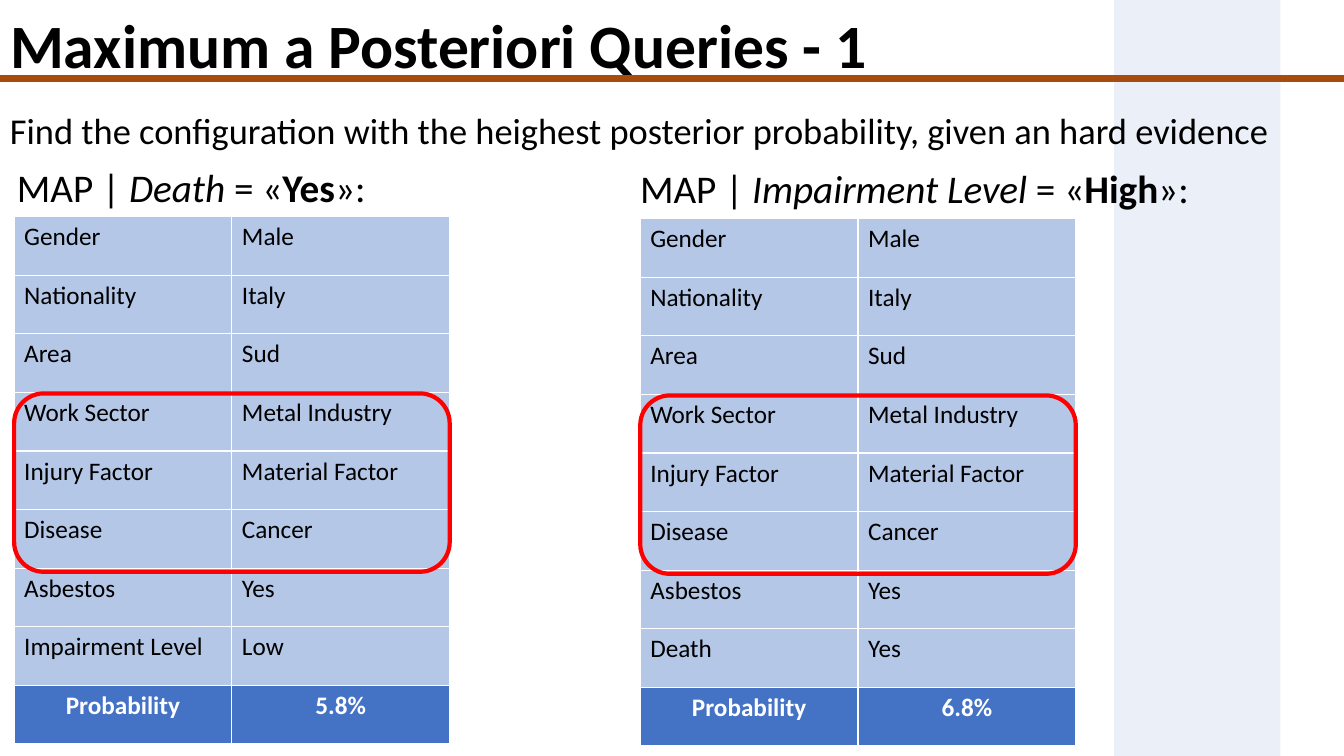
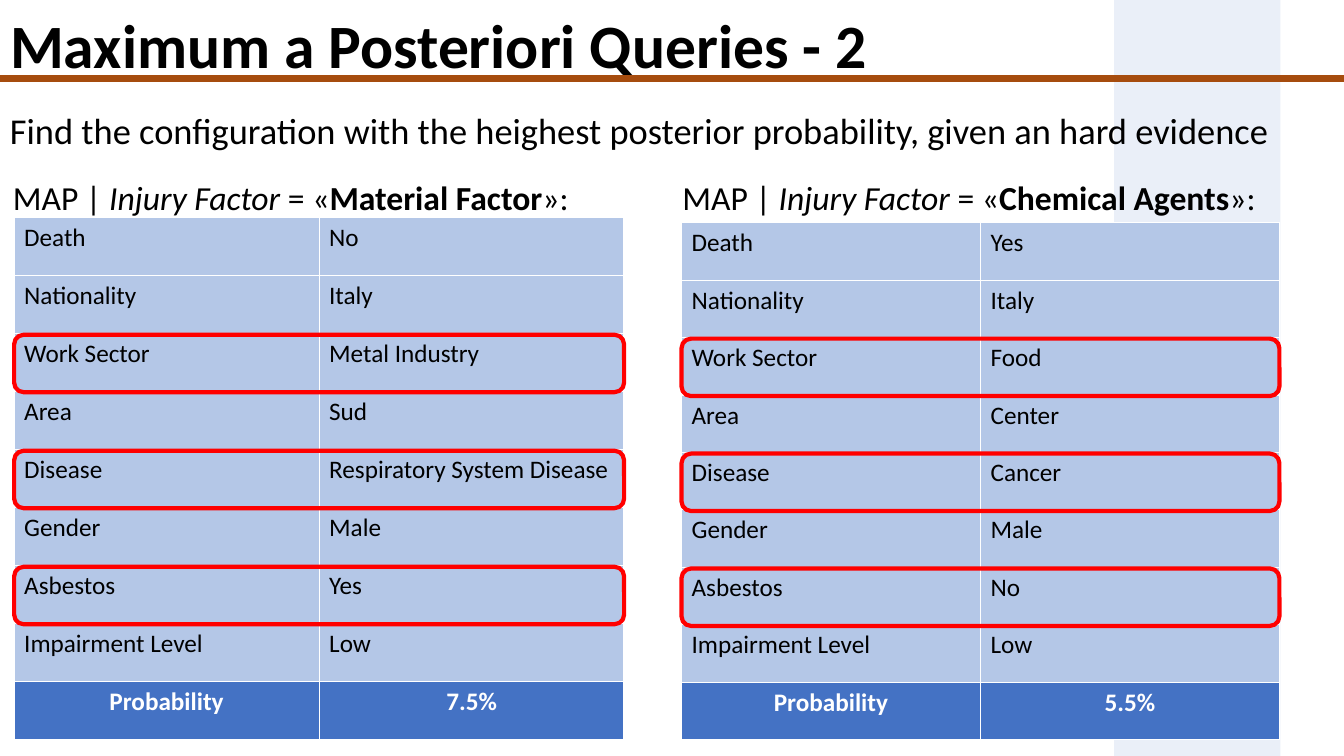
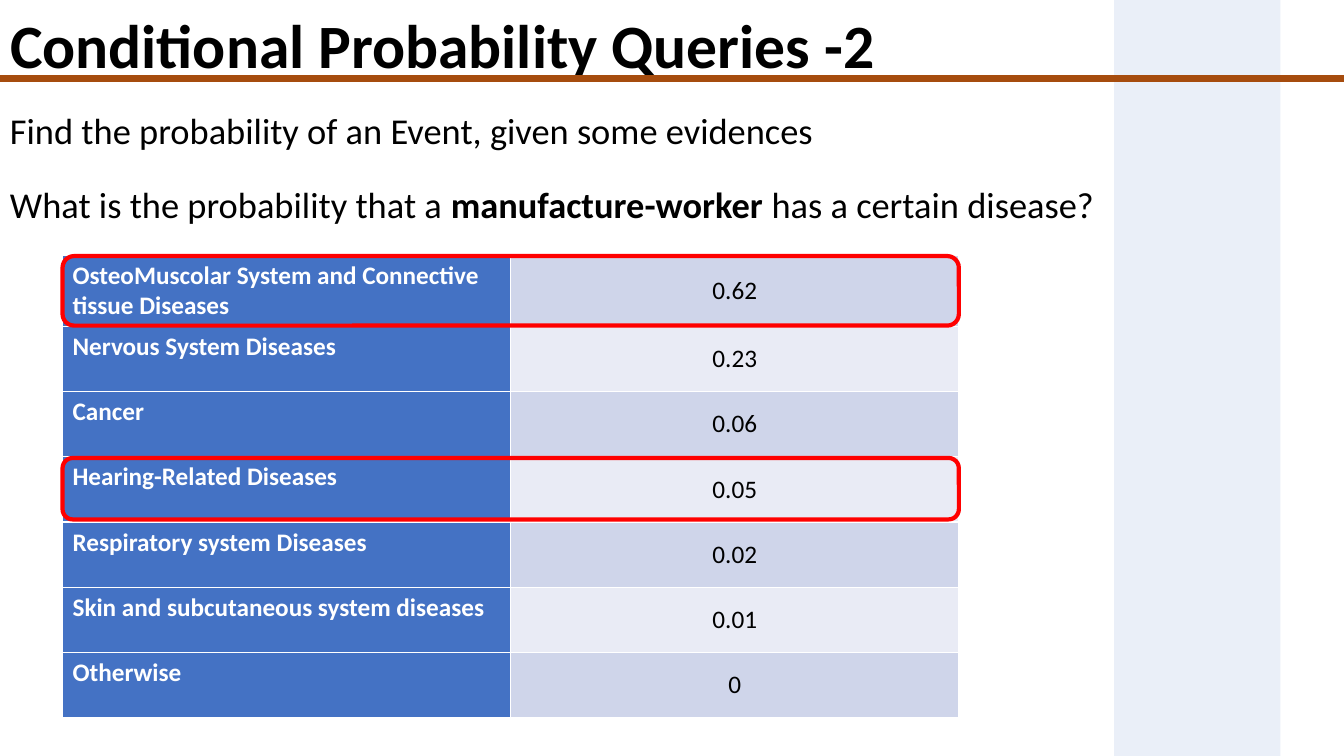
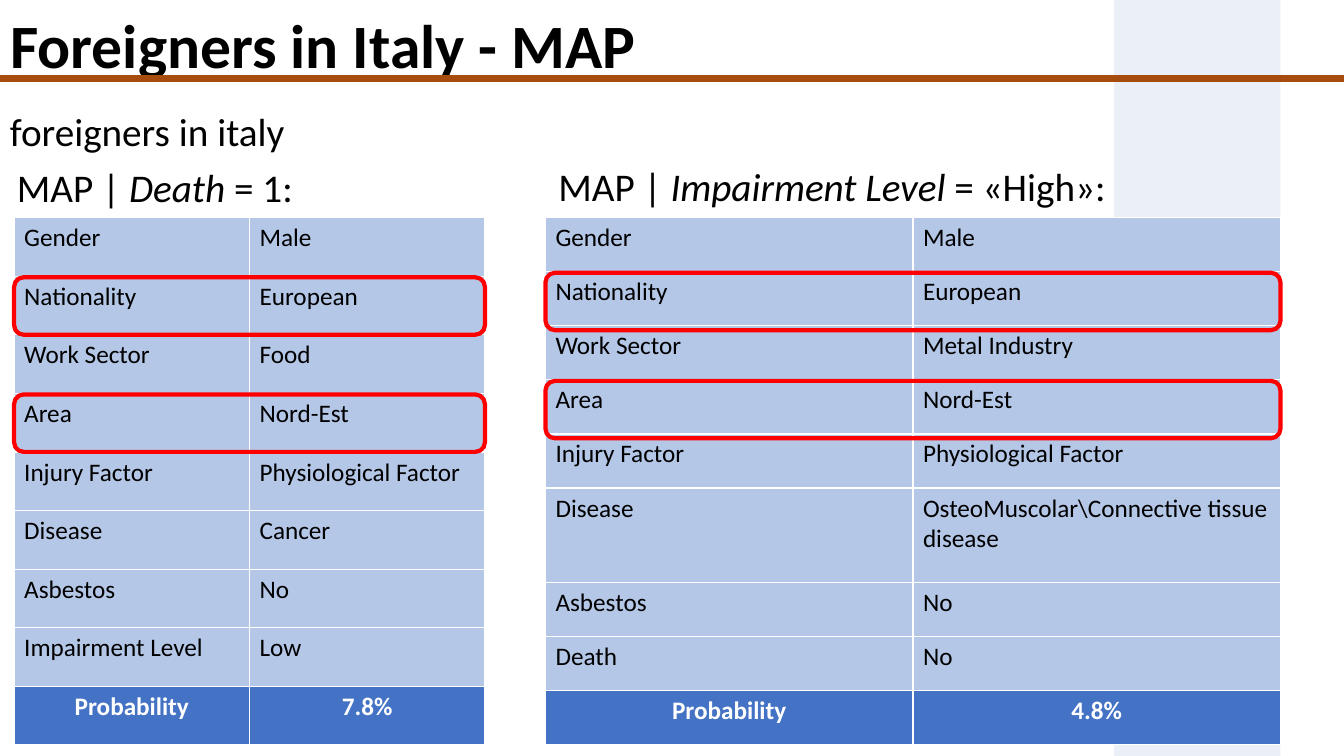
"""Builds four slides of Bayesian network query results."""
from lxml import etree
from pptx import Presentation
from pptx import util as u
from pptx.dml.color import RGBColor
from pptx.enum import shapes, text
from pptx.oxml.ns import qn

PX = 9144
WIDTH, HEIGHT = 1333, 750
FONT = "Calibri"
COLORS = {"ink": "000000", "white": "FFFFFF", "pale": "B4C7E7", "blue": "4472C4",
          "odd": "CFD5EA", "even": "E9EBF5", "rule": "A64C0E", "ring": "FF0000"}
LEFT, CENTER = text.PP_ALIGN.LEFT, text.PP_ALIGN.CENTER
TOP, MIDDLE = text.MSO_ANCHOR.TOP, text.MSO_ANCHOR.MIDDLE
CELL_STYLES = {
    "body": ("pale", "ink", False, LEFT, TOP),
    "total": ("blue", "white", True, CENTER, TOP),
    "label": ("blue", "white", True, LEFT, TOP),
    "odd": ("odd", "ink", False, CENTER, MIDDLE),
    "even": ("even", "ink", False, CENTER, MIDDLE),
}
MAP_INTRO = "Find the configuration with the heighest posterior probability, given an hard evidence"

SLIDES = [
    {"title": "Maximum a Posteriori Queries - 1",
     "texts": [
         ((0, 102, 1302, 54), 26, [(MAP_INTRO, "")]),
         ((7, 157, 460, 57), 28, [("MAP | ", ""), ("Death", "i"), (" = «", ""), ("Yes", "b"), ("»:", "")]),
         ((625, 158, 708, 57), 28, [("MAP | ", ""), ("Impairment Level", "i"), (" = «", ""),
                                    ("High", "b"), ("»:", "")])],
     "tables": [
         {"box": (14, 215, 432, 523), "rings": [(3, 177)], "rows": [
             ("Gender", "Male"), ("Nationality", "Italy"), ("Area", "Sud"),
             ("Work Sector", "Metal Industry"), ("Injury Factor", "Material Factor"),
             ("Disease", "Cancer"), ("Asbestos", "Yes"), ("Impairment Level", "Low"),
             ("Probability", "5.8%")]},
         {"box": (635, 217, 432, 523), "rings": [(3, 177)], "rows": [
             ("Gender", "Male"), ("Nationality", "Italy"), ("Area", "Sud"),
             ("Work Sector", "Metal Industry"), ("Injury Factor", "Material Factor"),
             ("Disease", "Cancer"), ("Asbestos", "Yes"), ("Death", "Yes"),
             ("Probability", "6.8%")]}]},
    {"title": "Maximum a Posteriori Queries - 2",
     "texts": [
         ((0, 102, 1302, 54), 26, [(MAP_INTRO, "")]),
         ((3, 171, 604, 50), 24, [("MAP | ", ""), ("Injury Factor", "i"), (" = «", ""),
                                  ("Material Factor", "b"), ("»:", "")]),
         ((667, 171, 619, 50), 24, [("MAP | ", ""), ("Injury Factor", "i"), (" = «", ""),
                                    ("Chemical Agents", "b"), ("»:", "")])],
     "tables": [
         {"box": (14, 216, 605, 518), "rings": [(2, 57), (4, 57), (6, 57)], "rows": [
             ("Death", "No"), ("Nationality", "Italy"), ("Work Sector", "Metal Industry"),
             ("Area", "Sud"), ("Disease", "Respiratory System Disease"), ("Gender", "Male"),
             ("Asbestos", "Yes"), ("Impairment Level", "Low"), ("Probability", "7.5%")]},
         {"box": (676, 221, 593, 513), "rings": [(2, 57), (4, 57), (6, 57)], "rows": [
             ("Death", "Yes"), ("Nationality", "Italy"), ("Work Sector", "Food"),
             ("Area", "Center"), ("Disease", "Cancer"), ("Gender", "Male"),
             ("Asbestos", "No"), ("Impairment Level", "Low"), ("Probability", "5.5%")]}]},
    {"title": "Conditional Probability Queries -2",
     "texts": [
         ((0, 102, 1302, 54), 26, [("Find the probability of an Event, given some evidences", "")]),
         ((0, 176, 1302, 54), 26, [("What is the probability that a ", ""), ("manufacture-worker", "b"),
                                   (" has a certain disease?", "")])],
     "tables": [
         {"box": (62, 253, 889, 459), "rings": [(0, 69), (3, 61)], "tall": {0: 71}, "banded": True, "rows": [
             ("OsteoMuscolar System and Connective tissue Diseases", "0.62"),
             ("Nervous System Diseases", "0.23"), ("Cancer", "0.06"),
             ("Hearing-Related Diseases", "0.05"), ("Respiratory system Diseases", "0.02"),
             ("Skin and subcutaneous system diseases", "0.01"), ("Otherwise", "0")]}]},
    {"title": "Foreigners in Italy - MAP",
     "texts": [
         ((0, 102, 1302, 57), 28, [("foreigners in italy", "")]),
         ((7, 157, 460, 57), 28, [("MAP | ", ""), ("Death", "i"), (" = 1:", "")]),
         ((544, 156, 729, 57), 28, [("MAP | ", ""), ("Impairment Level", "i"), (" = «High»:", "")])],
     "tables": [
         {"box": (14, 216, 467, 523), "rings": [(1, 57), (3, 57)], "rows": [
             ("Gender", "Male"), ("Nationality", "European"), ("Work Sector", "Food"),
             ("Area", "Nord-Est"), ("Injury Factor", "Physiological Factor"),
             ("Disease", "Cancer"), ("Asbestos", "No"), ("Impairment Level", "Low"),
             ("Probability", "7.8%")]},
         {"box": (541, 216, 729, 523), "rings": [(1, 57), (3, 57)], "tall": {5: 94}, "rows": [
             ("Gender", "Male"), ("Nationality", "European"), ("Work Sector", "Metal Industry"),
             ("Area", "Nord-Est"), ("Injury Factor", "Physiological Factor"),
             ("Disease", "OsteoMuscolar\\Connective tissue disease"), ("Asbestos", "No"),
             ("Death", "No"), ("Probability", "4.8%")]}]},
]


def px(*values):
    return [u.Emu(round(v * PX)) for v in values]


def rgb(name):
    return RGBColor.from_string(COLORS[name])


def set_font(p, size, color="ink", bold=None):
    f = p.font
    f.name, f.size, f.bold = FONT, u.Pt(size), bold
    f.color.rgb = rgb(color)


def add_frame(s, title):
    t = s.shapes.title
    t.left, t.top, t.width, t.height = px(0, 0, WIDTH, 97)
    tf = t.text_frame
    tf.text, tf.vertical_anchor = title, MIDDLE
    tf.auto_size = text.MSO_AUTO_SIZE.NONE
    p = tf.paragraphs[0]
    p.alignment, p.line_spacing = LEFT, 0.9
    set_font(p, 44, bold=True)

    band = s.shapes.add_shape(shapes.MSO_SHAPE.RECTANGLE, *px(1105, 0, 165, HEIGHT))
    band.shadow.inherit = False
    band.fill.solid()
    band.fill.fore_color.rgb = rgb("pale")
    band.line.fill.background()
    tint = band.element.spPr.find(qn("a:solidFill"))[0]
    etree.SubElement(tint, qn("a:alpha")).set("val", "27000")
    t.element.addprevious(band.element)

    rule = s.shapes.add_connector(shapes.MSO_CONNECTOR.STRAIGHT, *px(0, 78, WIDTH, 78))
    rule.line.color.rgb, rule.line.width = rgb("rule"), u.Pt(4.5)
    etree.SubElement(rule.element.spPr, qn("a:effectLst"))


def add_text(s, box, size, runs):
    tf = s.shapes.add_textbox(*px(*box)).text_frame
    tf.word_wrap = True
    tf.auto_size = text.MSO_AUTO_SIZE.SHAPE_TO_FIT_TEXT
    p = tf.paragraphs[0]
    set_font(p, size)
    for words, style in runs:
        r = p.add_run()
        r.text = words
        if style == "b":
            r.font.bold = True
        elif style == "i":
            r.font.italic = True


def cell_style(row, col, last, banded):
    if not banded:
        return "total" if row == last else "body"
    if col == 0:
        return "label"
    return "even" if row % 2 else "odd"


def add_grid(s, box, rows, rings, tall=None, banded=False):
    tall = tall or {}
    x, y, w, h = box
    share = (h - sum(tall.values())) / (len(rows) - len(tall))
    heights = [tall.get(i, share) for i in range(len(rows))]
    tbl = s.shapes.add_table(len(rows), 2, *px(*box)).table
    tbl.first_row = tbl.horz_banding = False
    for i, values in enumerate(rows):
        tbl.rows[i].height = px(heights[i])[0]
        for j, value in enumerate(values):
            style = cell_style(i, j, len(rows) - 1, banded)
            fill, ink, bold, align, anchor = CELL_STYLES[style]
            cell = tbl.cell(i, j)
            cell.text, cell.vertical_anchor = value, anchor
            cell.fill.solid()
            cell.fill.fore_color.rgb = rgb(fill)
            p = cell.text_frame.paragraphs[0]
            p.alignment = align
            set_font(p, 18, ink, bold)
    for row, ring_h in rings:
        ring_y = y + sum(heights[:row]) + 1
        sp = s.shapes.add_shape(shapes.MSO_SHAPE.ROUNDED_RECTANGLE, *px(x, ring_y, w, ring_h))
        sp.shadow.inherit = False
        sp.fill.background()
        sp.line.color.rgb, sp.line.width = rgb("ring"), u.Pt(3)


def main():
    prs = Presentation()
    prs.slide_width, prs.slide_height = px(WIDTH, HEIGHT)
    for content in SLIDES:
        s = prs.slides.add_slide(prs.slide_layouts[5])
        add_frame(s, content["title"])
        for item in content["texts"]:
            add_text(s, *item)
        for table in content["tables"]:
            add_grid(s, **table)
    prs.save("out.pptx")


if __name__ == "__main__":
    main()
